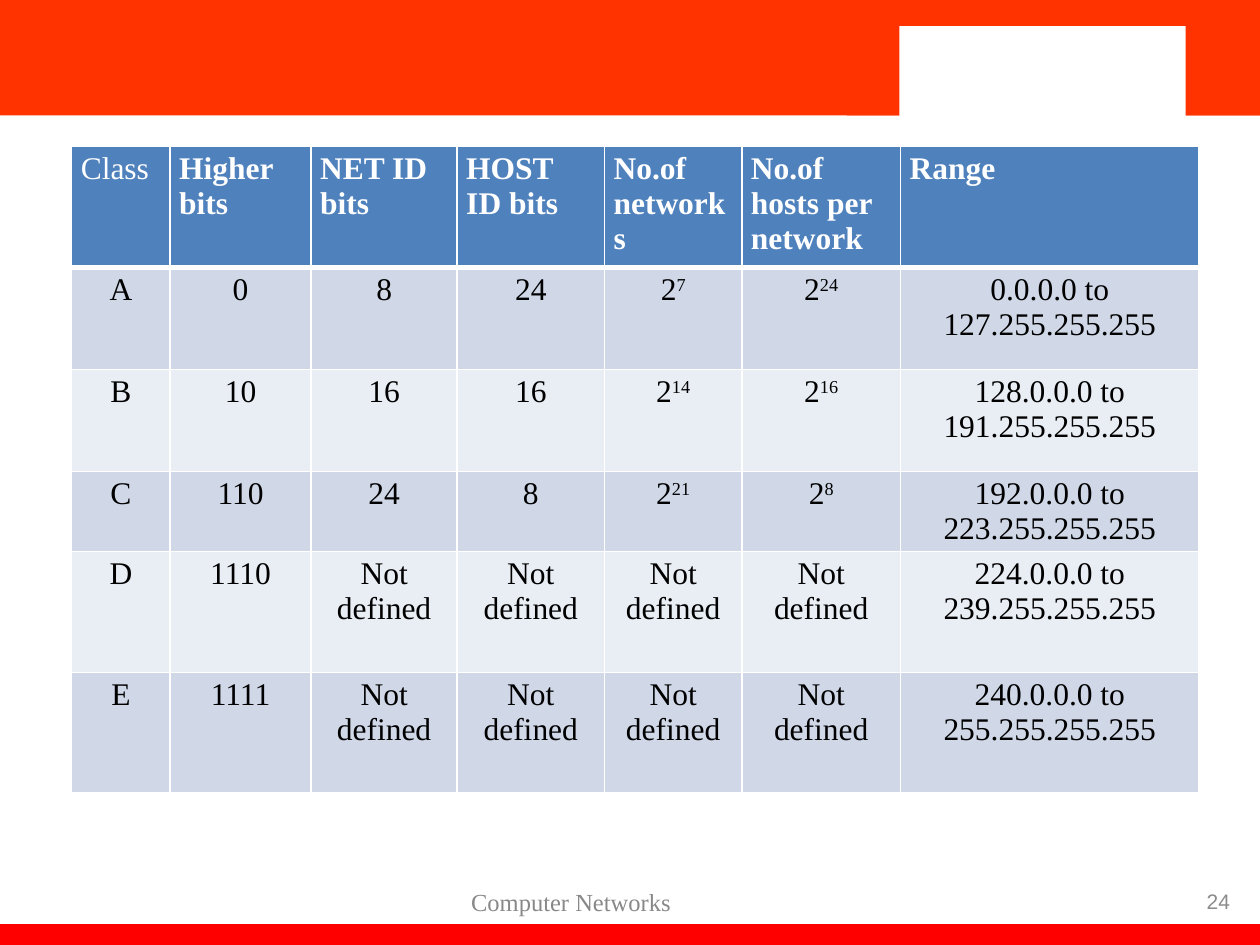
from pptx import Presentation
from pptx.dml.color import RGBColor
from pptx.enum import shapes, text
from pptx.oxml import parse_xml
from pptx.oxml.ns import nsdecls
from pptx.util import Pt

SERIF = "Times New Roman"
WHITE, BLACK, ORANGE, RED = "FFFFFF", "000000", "FF3300", "FF0000"
HEADER_FILL, BAND_FILLS = "4F81BD", ("D0D8E8", "E9EDF4")

COLUMN_WIDTHS = (56.2, 80.6, 83.5, 84.2, 78.5, 90.7, 170.6)
ROW_HEIGHTS = (69.1, 58.3, 58.3, 41, 69.1, 69.1)
HEADERS = ("Class", "Higher bits", "NET ID bits", "HOST ID bits",
           "No.of networks", "No.of hosts per network", "Range")
# A caret marks the start of an exponent.
CLASSES = (
    ("A", "0", "8", "24", "2^7", "2^24", "0.0.0.0 to 127.255.255.255"),
    ("B", "10", "16", "16", "2^14", "2^16", "128.0.0.0 to 191.255.255.255"),
    ("C", "110", "24", "8", "2^21", "2^8", "192.0.0.0 to 223.255.255.255"),
    ("D", "1110", *["Not defined"] * 4, "224.0.0.0 to 239.255.255.255"),
    ("E", "1111", *["Not defined"] * 4, "240.0.0.0 to 255.255.255.255"),
)


def color(value):
    return RGBColor.from_string(value)


def set_font(p, name, size, value, bold=False):
    p.font.name = name
    p.font.size = Pt(size)
    p.font.color.rgb = color(value)
    p.font.bold = bold


def add_block(slide, left, top, width, height, fill):
    sp = slide.shapes.add_shape(shapes.MSO_SHAPE.RECTANGLE,
                                Pt(left), Pt(top), Pt(width), Pt(height))
    sp.shadow.inherit = False
    sp.fill.solid()
    sp.fill.fore_color.rgb = color(fill)
    sp.line.fill.background()


def add_label(slide, box, words, name, size, value, align, right_inset=7.2):
    sp = slide.shapes.add_textbox(*(Pt(v) for v in box))
    tf = sp.text_frame
    tf.word_wrap = True
    tf.vertical_anchor = text.MSO_ANCHOR.MIDDLE
    tf.margin_right = Pt(right_inset)
    p = tf.paragraphs[0]
    p.text = words
    p.alignment = align
    set_font(p, name, size, value)


def set_borders(cell, bottom):
    tc_pr = cell._tc.get_or_add_tcPr()
    for side, width in (("L", 1), ("R", 1), ("T", 1), ("B", bottom)):
        tc_pr.append(parse_xml(
            f'<a:ln{side} {nsdecls("a")} w="{Pt(width)}"><a:solidFill>'
            f'<a:srgbClr val="{WHITE}"/></a:solidFill></a:ln{side}>'))


def fill_cell(cell, words, fill, value, align, bold=False, bottom=1):
    set_borders(cell, bottom)
    cell.fill.solid()
    cell.fill.fore_color.rgb = color(fill)
    cell.margin_left = cell.margin_right = Pt(5.2)
    cell.margin_top = cell.margin_bottom = Pt(2.9)
    p = cell.text_frame.paragraphs[0]
    p.alignment = align
    set_font(p, SERIF, 18, value, bold)
    base, _, exponent = words.partition("^")
    for part in filter(None, (base, exponent)):
        r = p.add_run()
        r.text = part
        r.font.name, r.font.size, r.font.bold = SERIF, Pt(18), bold
        r.font.color.rgb = color(value)
    if exponent:
        r.font._element.set("baseline", "30000")


def add_class_table(slide):
    table = slide.shapes.add_table(
        len(ROW_HEIGHTS), len(COLUMN_WIDTHS), Pt(41), Pt(83.8),
        Pt(sum(COLUMN_WIDTHS)), Pt(sum(ROW_HEIGHTS))).table
    for column, width in zip(table.columns, COLUMN_WIDTHS):
        column.width = Pt(width)
    for row, height in zip(table.rows, ROW_HEIGHTS):
        row.height = Pt(height)
    for i, words in enumerate(HEADERS):
        fill_cell(table.cell(0, i), words, HEADER_FILL, WHITE,
                  text.PP_ALIGN.LEFT, bold=i > 0, bottom=3)
    for j, values in enumerate(CLASSES):
        for i, words in enumerate(values):
            fill_cell(table.cell(j + 1, i), words, BAND_FILLS[j % 2], BLACK,
                      text.PP_ALIGN.CENTER)


def main():
    prs = Presentation()
    prs.slide_width, prs.slide_height = Pt(720), Pt(540)
    slide = prs.slides.add_slide(prs.slide_layouts[6])
    add_block(slide, 0, 0, 720, 66, ORANGE)
    add_block(slide, 0, 528, 720, 15.8, RED)
    add_block(slide, 484, 0, 236, 66, ORANGE)
    add_block(slide, 514, 15, 163.5, 54, WHITE)
    add_class_table(slide)
    add_label(slide, (494, 500.4, 216, 28.8), "24", "Arial", 12, "8C8C8C",
              text.PP_ALIGN.RIGHT)
    add_label(slide, (158.4, 501.1, 388.8, 28.8), "Computer Networks", SERIF,
              14, "888888", text.PP_ALIGN.CENTER, right_inset=60)
    prs.save("out.pptx")


if __name__ == "__main__":
    main()
